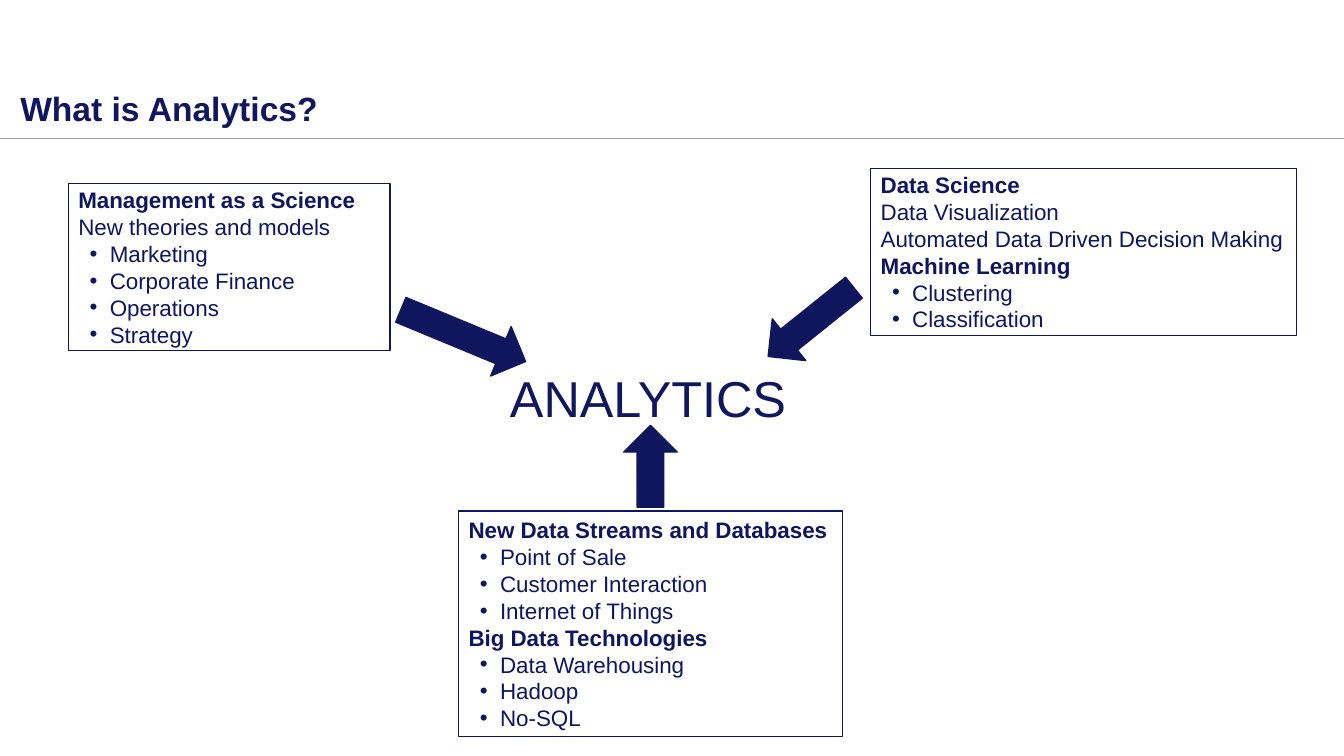
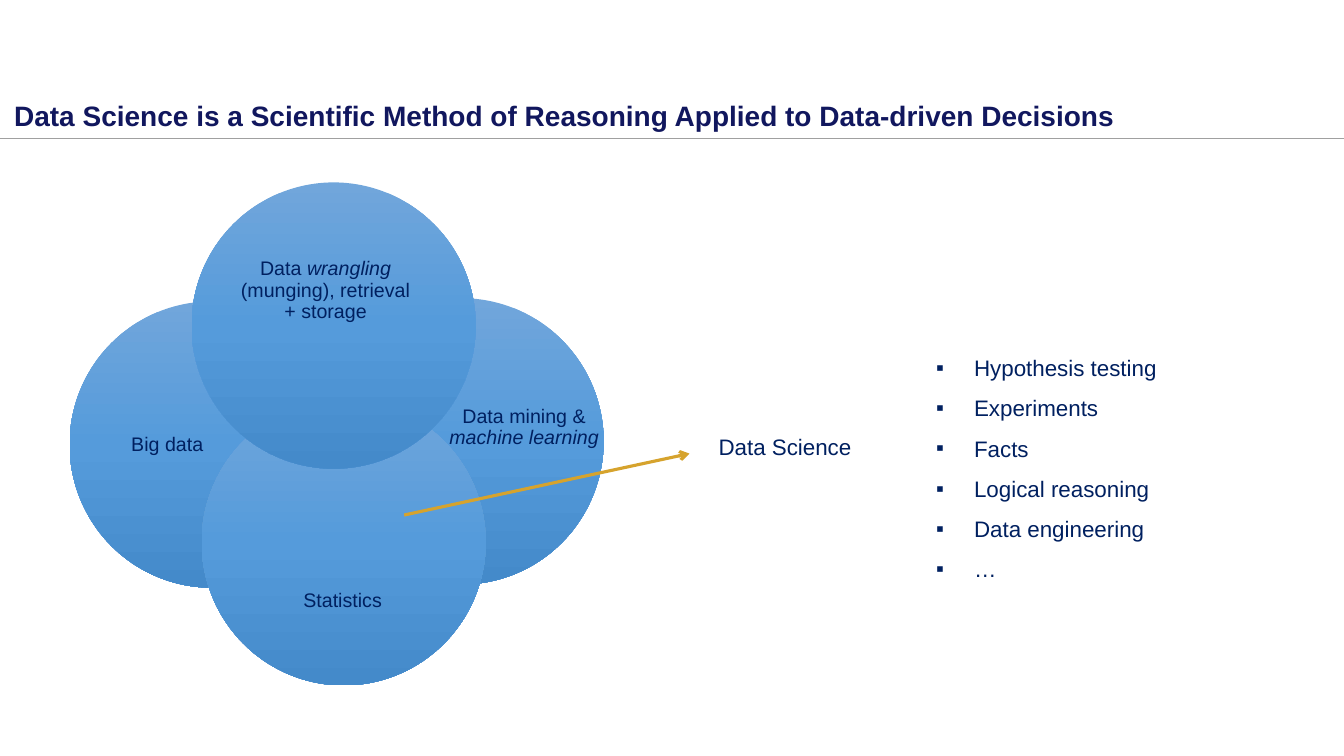
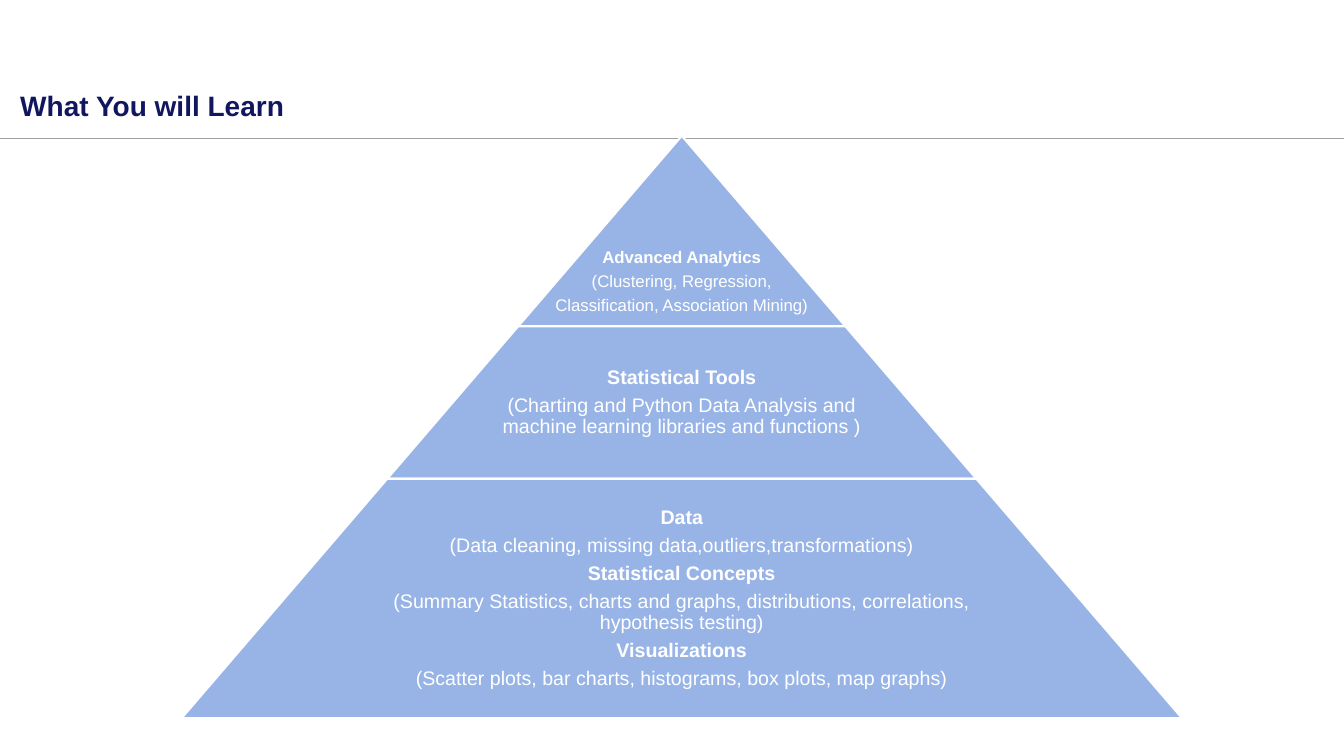
from copy import deepcopy

from lxml import etree
from pptx import Presentation
from pptx.dml.color import RGBColor
from pptx.enum.shapes import MSO_CONNECTOR, MSO_SHAPE
from pptx.enum.text import MSO_ANCHOR, PP_ALIGN
from pptx.oxml.ns import qn
from pptx.util import Pt

RECTANGLE, DOWN_ARROW = MSO_SHAPE.RECTANGLE, MSO_SHAPE.DOWN_ARROW
CIRCLE, TRAPEZOID = MSO_SHAPE.OVAL, MSO_SHAPE.TRAPEZOID
STRAIGHT = MSO_CONNECTOR.STRAIGHT
TOP, MIDDLE = MSO_ANCHOR.TOP, MSO_ANCHOR.MIDDLE
LEFT, CENTER, JUSTIFY = PP_ALIGN.LEFT, PP_ALIGN.CENTER, PP_ALIGN.JUSTIFY

COLORS = {
    "title": "11175E", "navy": "10165E", "ink": "002060", "white": "FFFFFF",
    "rule": "A0A0A0", "gold": "D6A32D", "tier": "98B4E6",
    "sky": "71A6DB", "azure": "559BDB", "ocean": "448ACA",
}
CIRCLE_STOPS = [(0, "sky"), (0.5, "azure"), (1, "ocean")]
WIDTH, HEIGHT = 960, 540
FONT = "Arial"
TITLE_INSETS = (6.5, 0, 6.5, 3.6)


def rgb(name):
    return RGBColor.from_string(COLORS[name])


def write_text(frame, text, size=16, color="ink", bold=False, italic="",
               align=LEFT, spacing=None, after=None, bullet=None, indent=0, hang=0):
    """Add one paragraph; the words given as italic are slanted."""
    first = frame.paragraphs[0]
    paragraph = frame.add_paragraph() if first.runs else first
    if bullet:
        props = paragraph._p.get_or_add_pPr()
        props.set("marL", str(Pt(indent)))
        props.set("indent", str(-Pt(hang)))
        etree.SubElement(props, qn("a:buFont")).set("typeface", FONT)
        etree.SubElement(props, qn("a:buChar")).set("char", bullet)
    paragraph.alignment = align
    if spacing:
        paragraph.line_spacing = spacing
    if after:
        paragraph.space_after = Pt(after)
    before, slanted, rest = text.partition(italic) if italic else (text, "", "")
    for part, is_italic in ((before, False), (slanted, True), (rest, False)):
        if part:
            run = paragraph.add_run()
            run.text = part
            font = run.font
            font.name, font.size, font.bold, font.italic = FONT, Pt(size), bold, is_italic
            font.color.rgb = rgb(color)


def heading(text):
    return {"text": text, "bold": True}


def plain(text):
    return {"text": text}


def bulleted(*texts):
    return [{"text": text, "bullet": "•", "indent": 22.5, "hang": 14.4} for text in texts]


class Deck:
    """Holds the shared style and the slide being built."""

    def __init__(self):
        self.file = Presentation()
        self.file.slide_width, self.file.slide_height = Pt(WIDTH), Pt(HEIGHT)
        self.slide = None

    def new_slide(self, title, at, size):
        self.slide = self.file.slides.add_slide(self.file.slide_layouts[6])
        self.line((0, 98.5), (WIDTH, 98.5), "rule", 0.5)
        self.text(at, [plain(title)], insets=TITLE_INSETS,
                  size=size, color="title", bold=True, spacing=0.9)

    def fill_frame(self, frame, paragraphs, anchor, insets, **style):
        frame.word_wrap = True
        frame.vertical_anchor = anchor
        (frame.margin_left, frame.margin_top,
         frame.margin_right, frame.margin_bottom) = map(Pt, insets)
        for paragraph in paragraphs:
            write_text(frame, **{**style, **paragraph})

    def text(self, at, paragraphs, anchor=TOP, insets=(7.2, 3.6, 7.2, 3.6), **style):
        box = self.slide.shapes.add_textbox(*map(Pt, at))
        self.fill_frame(box.text_frame, paragraphs, anchor, insets, **style)

    def label(self, at, paragraphs, inset=0, size=14, **style):
        """Centred text laid over a diagram."""
        self.text(at, paragraphs, MIDDLE, (inset,) * 4, size=size,
                  align=CENTER, spacing=0.9, after=0.35 * size, **style)

    def shape(self, kind, at, fill=None, line=None, weight=1, rotation=0):
        shape = self.slide.shapes.add_shape(kind, *map(Pt, at))
        shape.shadow.inherit = False
        shape.rotation = rotation
        if fill:
            shape.fill.solid()
            shape.fill.fore_color.rgb = rgb(fill)
        if line:
            shape.line.color.rgb = rgb(line)
            shape.line.width = Pt(weight)
        else:
            shape.line.fill.background()
        return shape

    def panel(self, at, paragraphs):
        panel = self.shape(RECTANGLE, at, "white", "navy")
        self.fill_frame(panel.text_frame, paragraphs, MIDDLE, (7.2, 3.6, 7.2, 3.6),
                        color="navy")

    def circle(self, left, top):
        circle = self.shape(CIRCLE, (left, top, 203, 204.5))
        circle.fill.gradient()
        circle.fill.gradient_angle = 270
        stop_list = circle._element.spPr.find(qn("a:gradFill")).find(qn("a:gsLst"))
        stop_list.append(deepcopy(stop_list[0]))
        for stop, (position, color) in zip(circle.fill.gradient_stops, CIRCLE_STOPS):
            stop.position = position
            stop.color.rgb = rgb(color)

    def line(self, start, end, color, weight, arrow=False):
        line = self.slide.shapes.add_connector(STRAIGHT, *map(Pt, start + end))
        line.line.color.rgb = rgb(color)
        line.line.width = Pt(weight)
        if arrow:
            etree.SubElement(line.line._get_or_add_ln(), qn("a:tailEnd")).set("type", "arrow")
        etree.SubElement(line._element.spPr, qn("a:effectLst"))


def analytics_slide(deck):
    deck.new_slide("What is Analytics?", (8, 66.2, 386, 27.4), 24)
    deck.text((357.8, 267, 213, 34.6), [plain("ANALYTICS")], insets=TITLE_INSETS,
              size=36, color="title", spacing=0.9)

    # Three sources
    deck.panel((622, 120.2, 304, 119.5), [
        heading("Data Science"),
        plain("Data Visualization"),
        plain("Automated Data Driven Decision Making"),
        heading("Machine Learning"),
        *bulleted("Clustering", "Classification"),
    ])
    deck.panel((48.8, 131, 229.7, 119.5), [
        heading("Management as a Science"),
        plain("New theories and models"),
        *bulleted("Marketing", "Corporate Finance", "Operations", "Strategy"),
    ])
    deck.panel((327.6, 365, 274.3, 161.3), [
        heading("New Data Streams and Databases"),
        *bulleted("Point of Sale", "Customer Interaction", "Internet of Things"),
        heading("Big Data Technologies"),
        *bulleted("Data Warehousing", "Hadoop", "No-SQL"),
    ])

    # Arrows into the centre
    for left, top, length, rotation in ((560.2, 190.8, 78.5, 51.3),
                                        (311.8, 191.5, 96.5, 292.5),
                                        (445.5, 303.8, 58.5, 180)):
        deck.shape(DOWN_ARROW, (left, top, 38.2, length), "navy", "navy", rotation=rotation)


def data_science_slide(deck):
    deck.new_slide("Data Science is a Scientific Method of Reasoning Applied to "
                   "Data-driven Decisions", (3.6, 72.7, 950, 27.4), 20)

    # Overlapping fields
    for left, top in ((228.2, 213), (49.7, 215.3), (144, 285.1), (136.8, 130.3)):
        deck.circle(left, top)
    for at, text, italic in (
            ((167.8, 180.7, 129.6, 54), "Data wrangling (munging), retrieval + storage",
             "wrangling"),
            ((302.4, 239.8, 144, 131), "Data mining & machine learning", "machine learning"),
            ((180, 402.5, 129.6, 54), "Statistics", ""),
            ((87.1, 252.7, 64.8, 131), "Big data", "")):
        deck.label(at, [{"text": text, "italic": italic}])

    # Result and its methods
    deck.line((288.7, 367.9), (492.5, 324), "gold", 2.25, arrow=True)
    deck.text((506.2, 306, 136.8, 26.6), [plain("Data Science")])
    methods = ("Hypothesis testing", "Experiments", "Facts",
               "Logical reasoning", "Data engineering", "…")
    deck.text((661.7, 239.8, 187.2, 178), map(plain, methods), align=JUSTIFY,
              spacing=1.5, bullet="▪", indent=27, hang=27)


def learning_slide(deck):
    deck.new_slide("What You will Learn", (8, 66.2, 772, 27.4), 20)

    # Pyramid tiers share one slope, so each width follows from its lower edge
    center, apex, slope = 487, 97, 0.859
    top = apex
    for height in (136, 109, 171):
        width = 2 * slope * (top + height - apex)
        tier = deck.shape(TRAPEZOID, (center - width / 2, top, width, height),
                          "tier", "white", 1.5)
        tier.adjustments[0] = slope
        top += height

    # Tier texts
    deck.label((center - 117, 170, 234, 63), [
        heading("Advanced Analytics"),
        plain("(Clustering, Regression,"),
        plain("Classification, Association Mining)"),
    ], inset=1.4, size=12, color="white")
    deck.label((center - 136.5, 233, 273, 109), [
        heading("Statistical Tools"),
        plain("(Charting and Python Data Analysis and machine learning libraries "
              "and functions )"),
    ], inset=1.4, color="white")
    deck.label((center - 232, 342, 464, 171), [
        heading("Data"),
        plain("(Data cleaning, missing data,outliers,transformations)"),
        heading("Statistical Concepts"),
        plain("(Summary Statistics, charts and graphs, distributions, correlations, "
              "hypothesis testing)"),
        heading("Visualizations"),
        plain("(Scatter plots, bar charts, histograms, box plots, map graphs)"),
    ], inset=1.4, color="white")


def main():
    deck = Deck()
    analytics_slide(deck)
    data_science_slide(deck)
    learning_slide(deck)
    deck.file.save("out.pptx")


if __name__ == "__main__":
    main()
